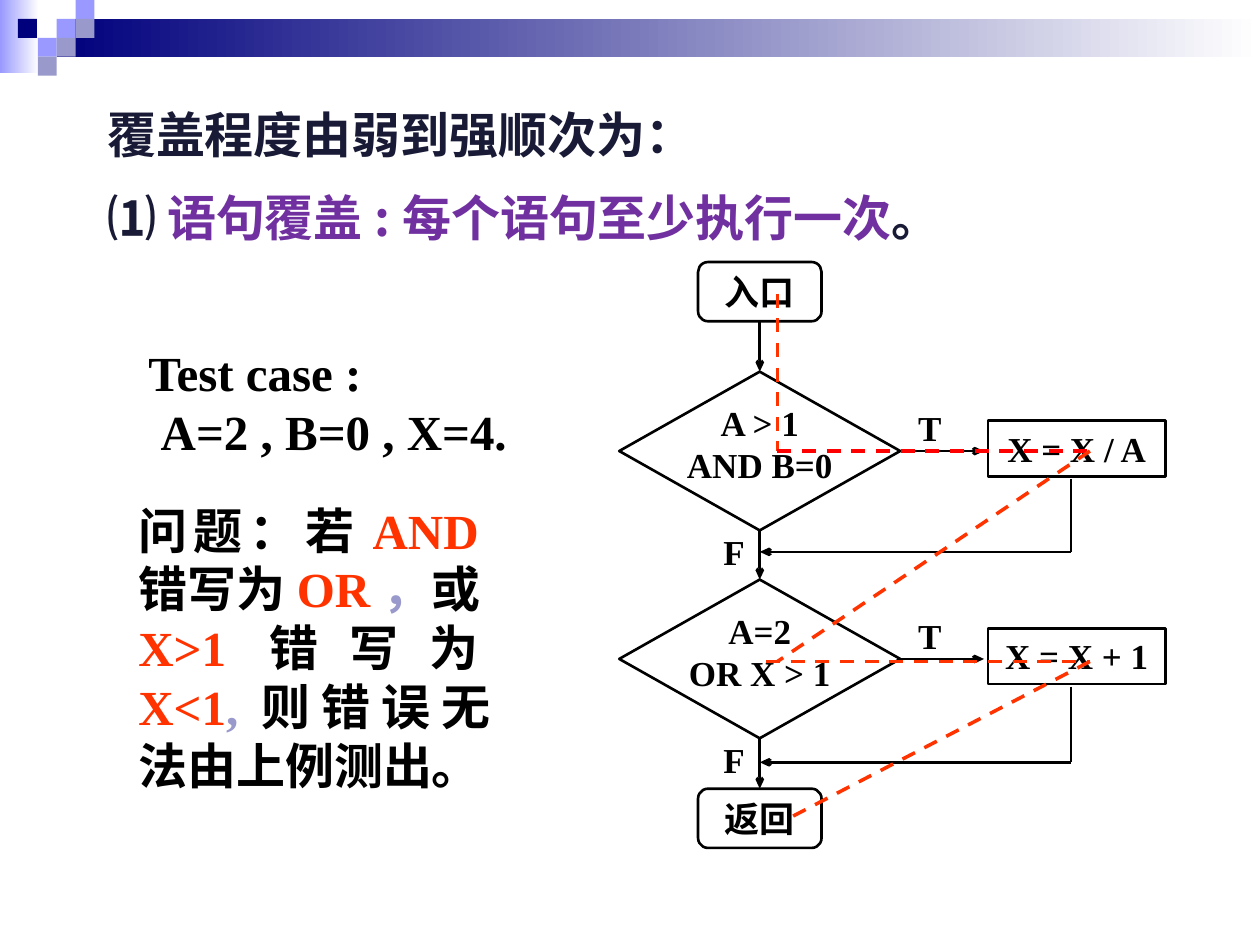
from lxml.etree import SubElement
from pptx import Presentation
from pptx.dml.color import RGBColor
from pptx.enum.dml import MSO_LINE
from pptx.enum.shapes import MSO_CONNECTOR, MSO_SHAPE as Shape
from pptx.enum.text import MSO_ANCHOR as Anchor, PP_ALIGN as Align
from pptx.oxml.ns import qn
from pptx.util import Inches, Pt

BLACK, NAVY, PERIWINKLE, LAVENDER = "000000", "00007D", "9999FF", "9999CC"
INK, PURPLE, ORANGE, RED = "181A36", "7030A0", "FF3300", "FF0000"
SERIF, HEADING, CJK = "Times New Roman", "Cabin", "Noto Sans CJK JP"
WIDTH, HEIGHT = 10, 7.5
TILE = 0.15                     # side of a banner square
AXIS = 6.03                     # centre line of the flowchart
STEP = 1.65                     # distance between the two decisions
RETURN_X = 8.5                  # where the branches turn back
TOP, LEFT, BOTTOM, RIGHT = 0, 1, 2, 3


def rgb(value):
    return RGBColor.from_string(value)


def write(shape, paragraphs, size=20, font=SERIF, color=BLACK, align=Align.LEFT,
          anchor=Anchor.TOP, margins=(0.1, 0.05, 0.1, 0.05), wrap=True,
          space_before=0, line_spacing=None, indents=()):
    """Each paragraph is a list of (text, color, font) with the last two optional."""
    frame = shape.text_frame
    frame.word_wrap, frame.vertical_anchor = wrap, anchor
    (frame.margin_left, frame.margin_top,
     frame.margin_right, frame.margin_bottom) = map(Inches, margins)
    for index, runs in enumerate(paragraphs):
        paragraph = frame.add_paragraph() if index else frame.paragraphs[0]
        paragraph.alignment = align
        paragraph.space_before = Pt(space_before if index else 0)
        if line_spacing:
            paragraph.line_spacing = line_spacing
        if index < len(indents):
            paragraph._p.get_or_add_pPr().set("marL", str(Pt(indents[index])))
        for text, *style in runs:
            run = paragraph.add_run()
            run.text = text
            run.font.size, run.font.bold = Pt(size), True
            run.font.color.rgb = rgb(style[0] if style else color)
            run.font.name = style[1] if len(style) > 1 else font


def label(shapes, box, paragraphs, **style):
    write(shapes.add_textbox(*map(Inches, box)), paragraphs, **style)


def block(shapes, box, fill, fade_to=None):
    rect = shapes.add_shape(Shape.RECTANGLE, *map(Inches, box))
    rect.shadow.inherit = False
    rect.line.fill.background()
    if fade_to:
        rect.fill.gradient()
        rect.fill.gradient_angle = 0
        for stop, color, position in zip(rect.fill.gradient_stops, (fill, fade_to), (0, 1)):
            stop.color.rgb, stop.position = rgb(color), position
    else:
        rect.fill.solid()
        rect.fill.fore_color.rgb = rgb(fill)


def node(shapes, kind, box, lines, **style):
    outline = shapes.add_shape(kind, *map(Inches, box))
    outline.shadow.inherit = False
    outline.fill.background()
    outline.line.color.rgb, outline.line.width = rgb(BLACK), Pt(1.5)
    write(outline, [[(line,)] for line in lines], align=Align.CENTER, **style)
    return outline


def line(shapes, start, end, color=BLACK, width=1.5, arrow=False, dashed=False):
    link = shapes.add_connector(MSO_CONNECTOR.STRAIGHT, *map(Inches, (*start, *end)))
    link.line.color.rgb, link.line.width = rgb(color), Pt(width)
    if dashed:
        link.line.dash_style = MSO_LINE.DASH
    if arrow:
        SubElement(link.line._get_or_add_ln(), qn("a:tailEnd"), type="arrow", w="sm", len="med")
    SubElement(link._element.spPr, qn("a:effectLst"))
    return link


def join(shapes, source, source_side, target, target_side):
    link = line(shapes, (0, 0), (1, 1), arrow=True)
    link.begin_connect(source, source_side)
    link.end_connect(target, target_side)


def banner(shapes):
    block(shapes, (0, 0, 0.31, 0.58), PERIWINKLE, "FFFFFF")
    block(shapes, (3 * TILE, TILE, WIDTH - 3 * TILE, 2 * TILE), NAVY, "FFFFFF")
    tiles = [(3, 1, PERIWINKLE), (4, 0, PERIWINKLE), (4, 1, LAVENDER), (2, 2, PERIWINKLE),
             (0.95, 1, NAVY), (3, 2, LAVENDER), (2, 3, LAVENDER)]
    for column, row, color in tiles:
        block(shapes, (column * TILE, row * TILE, TILE, TILE), color)


def flowchart(shapes):
    def terminal(top, text):
        return node(shapes, Shape.FLOWCHART_ALTERNATE_PROCESS, (AXIS - 0.49, top, 0.98, 0.47),
                    [text], anchor=Anchor.MIDDLE, wrap=False)

    entry, finish = terminal(2.08, "入口"), terminal(6.26, "返回")
    stages = [(["A > 1", "AND B=0"], "X = X / A"), (["A=2", "OR X > 1"], "X = X + 1")]
    previous = entry
    for index, (condition, action) in enumerate(stages):
        top = 2.95 + index * STEP
        decision = node(shapes, Shape.FLOWCHART_DECISION, (AXIS - 1.115, top, 2.23, 1.26),
                        condition, anchor=Anchor.MIDDLE, wrap=False,
                        margins=(0.02, 0.01, 0.02, 0.13))
        process = node(shapes, Shape.RECTANGLE, (7.84, top + 0.39, 1.41, 0.44), [action])
        join(shapes, previous, BOTTOM, decision, TOP)
        # The process sits slightly above the decision's centre, so only the start is joined
        branch = line(shapes, (7.15, top + 0.63), (7.81, top + 0.63), arrow=True)
        branch.begin_connect(decision, RIGHT)
        label(shapes, (7.09, top + 0.23, 0.58, 0.44), [[("T",)]], align=Align.CENTER)
        label(shapes, (5.6, top + 1.21, 0.41, 0.44), [[("F",)]], align=Align.RIGHT)
        # Way back to the main line
        back = (4.38, 6.05)[index]
        line(shapes, (RETURN_X, top + 0.85), (RETURN_X, back))
        line(shapes, (RETURN_X, back), (AXIS, back), arrow=True)
        previous = decision
    join(shapes, previous, BOTTOM, finish, TOP)


def test_route(shapes):
    legs = [((6.17, 2.33), (6.17, 3.58), ORANGE), ((6.17, 3.58), (8.65, 3.58), RED),
            ((8.65, 3.58), (6.17, 5.25), ORANGE), ((6.08, 5.25), (8.65, 5.25), ORANGE),
            ((8.65, 5.25), (6.25, 6.5), ORANGE)]
    for start, end, color in legs:
        line(shapes, start, end, color, width=2, dashed=True)


def main():
    deck = Presentation()
    deck.slide_width, deck.slide_height = Inches(WIDTH), Inches(HEIGHT)
    slide = deck.slides.add_slide(deck.slide_layouts[5])
    shapes = slide.shapes
    banner(shapes.add_group_shape().shapes)

    # Heading
    title = shapes.title
    title.left, title.top, title.width, title.height = map(Inches, (0.75, 0.83, 7, 1.19))
    write(title, [[("覆盖程度由弱到强顺次为：",)],
                  [("⑴ ",), ("语句覆盖:每个语句至少执行一次", PURPLE, CJK), ("。",)]],
          size=28, font=HEADING, color=INK, space_before=17.5, line_spacing=0.9)

    # Remark on what the test case misses
    label(shapes, (1, 3.92, 2.99, 2.44),
          [[("问题：若",), ("AND", ORANGE), ("错写为",), ("OR", ORANGE), ("，", LAVENDER),
            ("或",), ("X>1", ORANGE), ("错写为",), ("X<1", ORANGE), (",", LAVENDER),
            ("则错误无法由上例测出。",)]], size=28, align=Align.JUSTIFY)

    flowchart(shapes.add_group_shape().shapes)
    test_route(shapes.add_group_shape().shapes)
    label(shapes, (1.08, 2.67, 3.48, 1.04), [[("Test case :",)], [("A=2 , B=0 , X=4.",)]],
          size=28, indents=(0, 7))
    deck.save("out.pptx")


if __name__ == "__main__":
    main()
